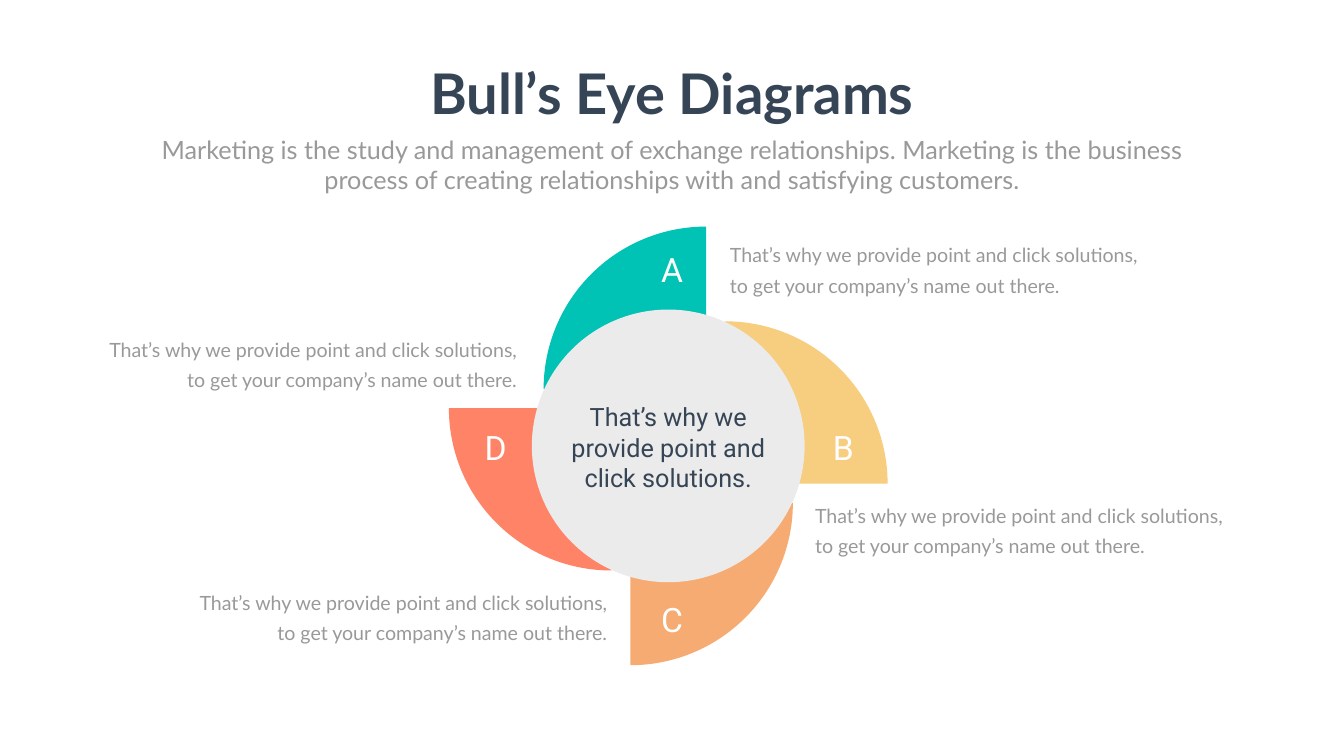
from pptx import Presentation
from pptx.dml.color import RGBColor
from pptx.enum.shapes import MSO_SHAPE
from pptx.enum.text import MSO_ANCHOR, PP_ALIGN
from pptx.util import Pt

WEDGE, OVAL = MSO_SHAPE.PIE_WEDGE, MSO_SHAPE.OVAL
LEFT, MID, RIGHT = PP_ALIGN.LEFT, PP_ALIGN.CENTER, PP_ALIGN.RIGHT
TOP = MSO_ANCHOR.TOP

DARK, GREY, PALE, WHITE = "364556", "999999", "EBEBEB", "FFFFFF"
TITLE = "Bull’s Eye Diagrams"
INTRO = ("Marketing is the study and management of exchange relationships. "
         "Marketing is the business process of creating relationships "
         "with and satisfying customers.")
CORE = "That’s why we provide point and click solutions."
NOTE = ("That’s why we provide point and click solutions, "
        "to get your company’s name out there.")

PARTS = [
    ("A", "00C2B5", (930.3, 351.4), (1035.4, 334.8), LEFT),
    ("B", "F7CD7F", (1175, 607), (1157, 706.3), LEFT),
    ("C", "F6AB72", (930.3, 851.8), (258.5, 831.6), RIGHT),
    ("D", "FF8467", (678.3, 607), (129.6, 469.4), RIGHT),
]
HUB = (954.4, 637)
CORE_SIZE, WEDGE_SIZE = 389.6, 232
SHIFT = (-62, -197.3)


def color(text):
    return RGBColor.from_string(text)


def shape(kind, mid, size, fill, turn=0):
    x, y = (c - size / 2 for c in mid)
    item = slide.shapes.add_shape(kind, Pt(x), Pt(y), Pt(size), Pt(size))
    item.rotation = turn
    item.shadow.inherit = False
    item.fill.solid()
    item.fill.fore_color.rgb = color(fill)
    item.line.fill.background()


def write(box, text, size, face, tint, align=MID, bold=False, pitch=None, wrap=True):
    frame = box.text_frame
    frame.word_wrap = wrap
    frame.vertical_anchor = TOP
    para = frame.paragraphs[0]
    para.alignment = align
    if pitch:
        para.line_spacing = Pt(pitch)
    run = para.add_run()
    run.text = text
    font = run.font
    font.size, font.name, font.bold = Pt(size), face, bold
    font.color.rgb = color(tint)


def label(x, y, wide, high, *args, **more):
    box = slide.shapes.add_textbox(Pt(x), Pt(y), Pt(wide), Pt(high))
    write(box, *args, **more)


deck = Presentation()
deck.slide_width, deck.slide_height = Pt(1919.5), Pt(1080)
slide = deck.slides.add_slide(deck.slide_layouts[5])

title = slide.shapes.title
title.left, title.top, title.width, title.height = Pt(600.5), Pt(80.6), Pt(718.6), Pt(104.4)
write(title, TITLE, 80, "Lato", DARK, bold=True, wrap=False)
label(210.2, 188, 1499, 94.3, INTRO, 36, "Lato", GREY)

dx, dy = SHIFT
for i, (name, fill, *rest) in enumerate(PARTS):
    shape(WEDGE, (HUB[0] + dx, HUB[1] + dy), WEDGE_SIZE, fill, 90 * i)
    dx, dy = -dy, dx
shape(OVAL, HUB, CORE_SIZE, PALE)

for name, fill, spot, place, align in PARTS:
    label(*spot, 59, 65.5, name, 48, "Roboto", WHITE)
    label(*place, 615.6, 89.3, NOTE, 28, "Lato", GREY, align, pitch=43)
label(800, 570.3, 308.9, 138.2, CORE, 36, "Roboto", DARK)

deck.save("out.pptx")
